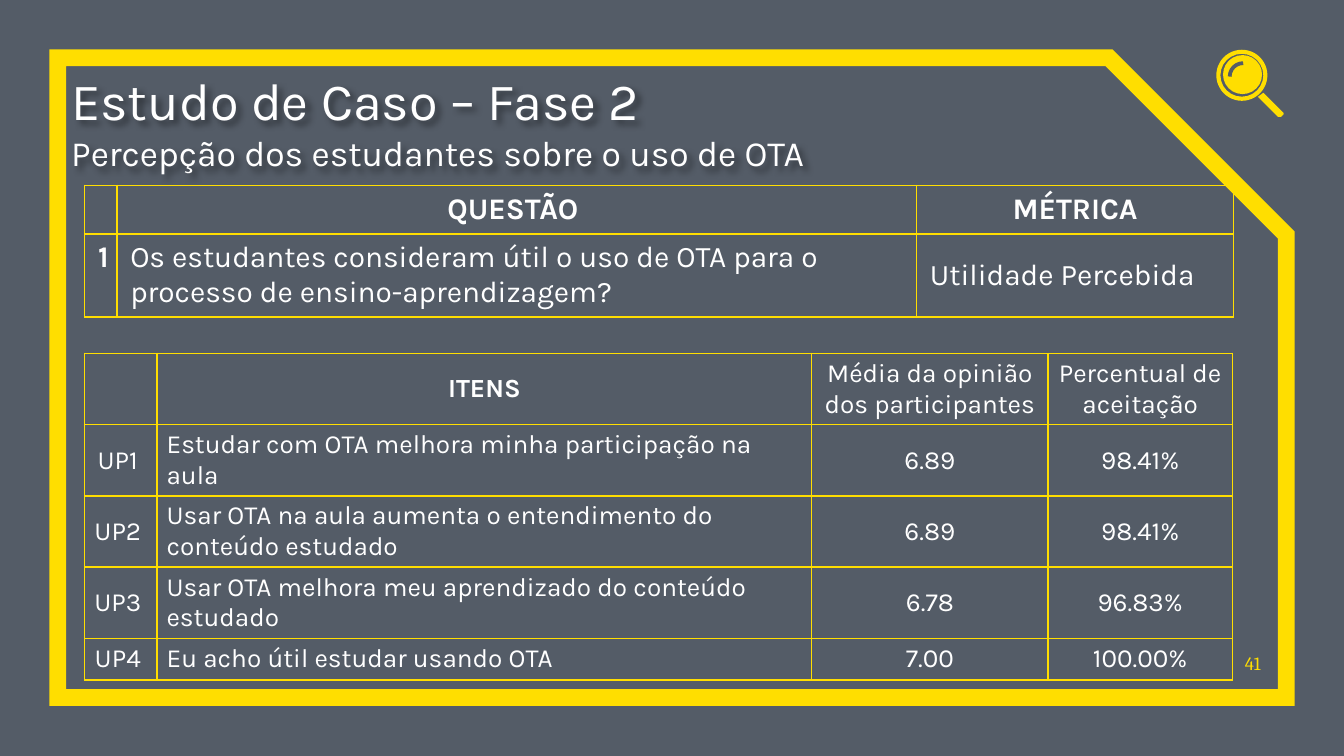
import pptx
import pptx.util
import pptx.dml.color
import pptx.enum.shapes
import pptx.enum.text
import pptx.oxml
import pptx.oxml.ns

Inches = pptx.util.Inches
Pt = pptx.util.Pt
RGBColor = pptx.dml.color.RGBColor
Shape = pptx.enum.shapes.MSO_SHAPE
Align = pptx.enum.text.PP_ALIGN
Anchor = pptx.enum.text.MSO_ANCHOR

SLATE = RGBColor(0x54, 0x5C, 0x67)
YELLOW = RGBColor(0xFF, 0xDE, 0x00)
WHITE = RGBColor(0xFF, 0xFF, 0xFF)
BLACK = RGBColor(0x00, 0x00, 0x00)
NS = pptx.oxml.ns.nsdecls("a")

# Widescreen slide, 16 by 9
deck = pptx.Presentation()
deck.slide_width = Inches(10)
deck.slide_height = Inches(10 * 9 / 16)
slide = deck.slides.add_slide(deck.slide_layouts[6])
shapes = slide.shapes
slide.background.fill.solid()
slide.background.fill.fore_color.rgb = SLATE


def style(para, size, color=WHITE, face="Karla", bold=False):
    for run in para.runs:
        font = run.font
        font.size = Pt(size)
        font.name = face
        font.bold = bold
        font.color.rgb = color


def add_grid(place, widths, heights, rows, size, pad, centred):
    """Draw a yellow-ruled table; the first row and the centred columns are centred."""
    frame = shapes.add_table(len(rows), len(widths), *[Inches(n) for n in place])
    table = frame.table
    table.first_row = False
    table.horz_banding = False
    for col, width in zip(table.columns, widths):
        col.width = Inches(width)
    for row, height in zip(table.rows, heights):
        row.height = Inches(height)
    for r, row in enumerate(rows):
        for c, (text, bold) in enumerate(row):
            cell = table.cell(r, c)
            cell.text_frame.text = text
            cell.vertical_anchor = Anchor.MIDDLE
            cell.margin_left = cell.margin_right = Inches(pad[0])
            cell.margin_top = cell.margin_bottom = Inches(pad[1])
            cell.fill.background()
            for para in cell.text_frame.paragraphs:
                if r == 0 or c in centred:
                    para.alignment = Align.CENTER
                style(para, size, bold=bold)
                if not text:
                    para._p.get_or_add_endParaRPr().set("sz", str(size * 100))
            # Cell borders come before the fill
            props = cell._tc.get_or_add_tcPr()
            for i, side in enumerate("LRTB"):
                props.insert(i, pptx.oxml.parse_xml(
                    f'<a:ln{side} {NS} w="12700"><a:solidFill>'
                    f'<a:srgbClr val="{YELLOW}"/></a:solidFill></a:ln{side}>'))


# Frame with the cut corner and sharp joins
frame = shapes.add_shape(Shape.SNIP_1_RECTANGLE, Inches(0.43), Inches(0.43),
                         Inches(9.14), Inches(4.76))
frame.adjustments[0] = 0.277
frame.shadow.inherit = False
frame.fill.background()
frame.line.color.rgb = YELLOW
frame.line.width = Pt(9)
frame.line._ln.append(pptx.oxml.parse_xml(f'<a:miter {NS} lim="800000"/>'))

# Page number and title
page = shapes.add_textbox(Inches(9.11), Inches(4.74), Inches(0.27), Inches(0.28))
head = shapes.add_textbox(Inches(0.53), Inches(0.54), Inches(8.41), Inches(0.75))
page.text_frame.text = "41"
head.text_frame.text = "Estudo de Caso – Fase 2\nPercepção dos estudantes sobre o uso de OTA"
for box in (page, head):
    body = box.text_frame
    body.word_wrap = True
    body.vertical_anchor = Anchor.BOTTOM
    body.margin_left = body.margin_right = body.margin_top = body.margin_bottom = 0
for para, size in zip(head.text_frame.paragraphs, (28, 19)):
    style(para, size)
number = page.text_frame.paragraphs[0]
number.alignment = Align.RIGHT
style(number, 10, YELLOW, "Cambria")

# Soft shadow under the title
head._element.spPr.append(pptx.oxml.parse_xml(
    f'<a:effectLst {NS}><a:outerShdw blurRad="38100" dist="38100" dir="2700000">'
    f'<a:srgbClr val="{BLACK}"><a:alpha val="43000"/></a:srgbClr>'
    '</a:outerShdw></a:effectLst>'))

# Magnifying glass: ring, lens, handle, glint
ring = shapes.add_shape(Shape.DONUT, Inches(9.05), Inches(0.37), Inches(0.38), Inches(0.38))
ring.adjustments[0] = 0.08
lens = shapes.add_shape(Shape.OVAL, Inches(9.1), Inches(0.41), Inches(0.29), Inches(0.29))
pen = shapes.build_freeform(Inches(9.4), Inches(0.69), scale=1.0)
edge = [(9.36, 0.72), (9.51, 0.87), (9.53, 0.87), (9.55, 0.85), (9.55, 0.84)]
pen.add_line_segments([(Inches(x), Inches(y)) for x, y in edge], close=True)
handle = pen.convert_to_shape()
for part in (ring, lens, handle):
    part.shadow.inherit = False
    part.fill.solid()
    part.fill.fore_color.rgb = YELLOW
    part.line.fill.background()
glint = shapes.add_shape(Shape.ARC, Inches(9.15), Inches(0.47), Inches(0.2), Inches(0.2))
glint.adjustments[0] = 108
glint.adjustments[1] = 162
glint.shadow.inherit = False
glint.fill.background()
glint.line.color.rgb = SLATE
glint.line.width = Pt(2)

# Question table
asks = [
    [("", False), ("QUESTÃO ", True), ("MÉTRICA", True)],
    [("1 ", True),
     ("Os estudantes consideram útil o uso de OTA para o processo de ensino-aprendizagem?", False),
     ("Utilidade Percebida", False)],
]
add_grid((0.63, 1.38, 8.54, 0.98), (0.23, 5.95, 2.36), (0.36, 0.62), asks, 16,
         (0.1, 0.04), (0,))

# Item table
items = [
    ("UP1 ", "Estudar com OTA melhora minha participação na aula", "6.89", "98.41%"),
    ("UP2 ", "Usar OTA na aula aumenta o entendimento do conteúdo estudado", "6.89", "98.41%"),
    ("UP3 ", "Usar OTA melhora meu aprendizado do conteúdo estudado", "6.78", "96.83%"),
    ("UP4 ", "Eu acho útil estudar usando OTA", "7.00", "100.00%"),
]
rows = [[("", False), ("ITENS", True), ("Média da opinião\ndos participantes", False),
         ("Percentual de\naceitação", False)]]
rows += [[(text, False) for text in item] for item in items]
add_grid((0.63, 2.63, 8.54, 2.43), (0.54, 4.87, 1.76, 1.37), [0.53] * 4 + [0.31], rows, 14,
         (0.07, 0.03), (0, 2, 3))

deck.save("out.pptx")
